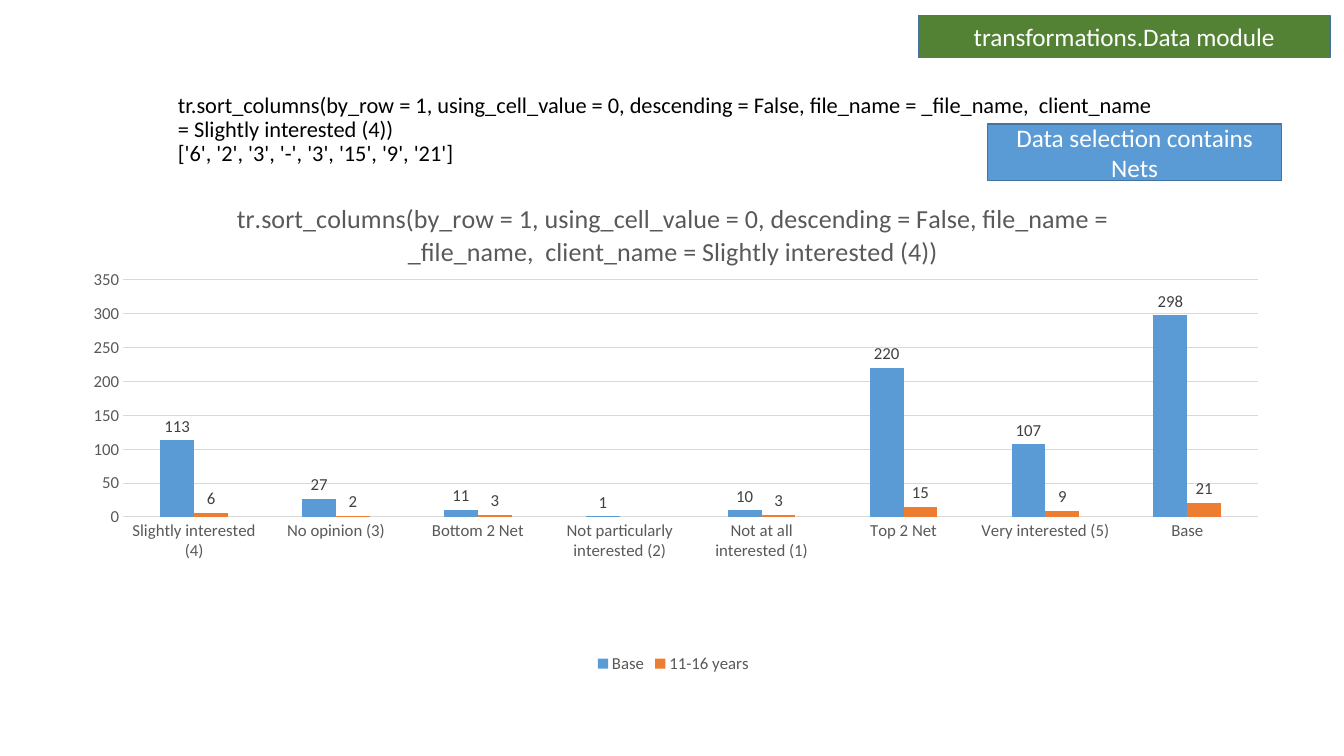
from lxml.etree import SubElement
from pptx import Presentation
from pptx.chart.data import CategoryChartData
from pptx.dml.color import RGBColor
from pptx.enum.chart import XL_CHART_TYPE, XL_LABEL_POSITION, XL_LEGEND_POSITION, XL_TICK_MARK
from pptx.enum.shapes import MSO_SHAPE
from pptx.enum.text import MSO_ANCHOR, PP_ALIGN
from pptx.oxml.ns import qn
from pptx.util import Pt

CALL = ("tr.sort_columns(by_row = 1, using_cell_value = 0, descending = False, "
        "file_name = _file_name,  client_name = Slightly interested (4))")
SORTED_ROW = "['6', '2', '3', '-', '3', '15', '9', '21']"
ANSWERS = ["Slightly interested (4)", "No opinion (3)", "Bottom 2 Net",
           "Not particularly interested (2)", "Not at all interested (1)",
           "Top 2 Net", "Very interested (5)", "Base"]
GROUPS = [("Base", [113, 27, 11, 1, 10, 220, 107, 298], "5B9BD5"),
          ("11-16 years", [6, 2, 3, None, 3, 15, 9, 21], "ED7D31")]
PLOT_LAYOUT = [("layoutTarget", "inner"), ("xMode", "edge"), ("yMode", "edge"),
               ("x", "0.042"), ("y", "0.2"), ("w", "0.945"), ("h", "0.477")]


def color(hex_value):
    return RGBColor.from_string(hex_value)


def set_font(font, size, hex_value):
    font.name = "Calibri"
    font.size = Pt(size)
    font.bold = False
    font.color.rgb = color(hex_value)


def add_call_text(slide, left, top, width, height):
    frame = slide.shapes.add_textbox(Pt(left), Pt(top), Pt(width), Pt(height)).text_frame
    frame.word_wrap = True
    frame.vertical_anchor = MSO_ANCHOR.BOTTOM
    call = frame.paragraphs[0]
    call.text = CALL + "\v" + SORTED_ROW
    call.line_spacing = 0.9
    set_font(call.font, 16, "000000")


def add_banner(slide, wording, fill, left, top, width, height):
    banner = slide.shapes.add_shape(MSO_SHAPE.RECTANGLE, Pt(left), Pt(top), Pt(width), Pt(height))
    banner.shadow.inherit = False
    banner.fill.solid()
    banner.fill.fore_color.rgb = color(fill)
    banner.line.color.rgb = color("43739E")
    banner.line.width = Pt(1)
    banner.text_frame.word_wrap = True
    banner.text_frame.vertical_anchor = MSO_ANCHOR.MIDDLE
    label = banner.text_frame.paragraphs[0]
    label.text = wording
    label.alignment = PP_ALIGN.CENTER
    set_font(label.font, 18, "FFFFFF")


def style_axes(chart):
    answers, counts = chart.category_axis, chart.value_axis
    for axis in (answers, counts):
        axis.major_tick_mark = XL_TICK_MARK.NONE
        axis.minor_tick_mark = XL_TICK_MARK.NONE
        set_font(axis.tick_labels.font, 12, "595959")
    counts.tick_labels.number_format = "0"
    counts.tick_labels.number_format_is_linked = False
    counts.minimum_scale, counts.maximum_scale, counts.major_unit = 0, 350, 50
    counts.format.line.fill.background()
    for line in (answers.format.line, counts.major_gridlines.format.line):
        line.color.rgb = color("D9D9D9")
        line.width = Pt(0.75)


def style_series(series, hex_value):
    series.format.fill.solid()
    series.format.fill.fore_color.rgb = color(hex_value)
    labels = series.data_labels
    labels.show_value = True
    labels.position = XL_LABEL_POSITION.OUTSIDE_END
    labels.number_format = "0"
    labels.number_format_is_linked = False
    set_font(labels.font, 12, "404040")


def place_plot(chart):
    plot_area = chart.plots[0]._element.getparent()
    layout = plot_area.find(qn("c:layout"))
    if layout is None:
        layout = SubElement(plot_area, qn("c:layout"))
        plot_area.insert(0, layout)
    manual = SubElement(layout, qn("c:manualLayout"))
    for tag, value in PLOT_LAYOUT:
        SubElement(manual, qn("c:" + tag)).set("val", value)


def add_interest_chart(slide, left, top, width, height):
    interest = CategoryChartData(number_format="0")
    interest.categories = ANSWERS
    for name, counts, _ in GROUPS:
        interest.add_series(name, counts)
    chart = slide.shapes.add_chart(XL_CHART_TYPE.COLUMN_CLUSTERED, Pt(left), Pt(top),
                                   Pt(width), Pt(height), interest).chart
    set_font(chart.font, 10, "000000")
    chart.has_title = True
    heading = chart.chart_title.text_frame.paragraphs[0]
    heading.text = CALL
    set_font(heading.font, 18.6, "595959")
    chart.chart_title.include_in_layout = False
    chart.has_legend = True
    chart.legend.position = XL_LEGEND_POSITION.BOTTOM
    chart.legend.include_in_layout = False
    set_font(chart.legend.font, 12, "595959")
    columns = chart.plots[0]
    columns.gap_width = 219
    columns.overlap = 0
    columns.vary_by_categories = False
    for series, (_, _, hex_value) in zip(columns.series, GROUPS):
        style_series(series, hex_value)
    style_axes(chart)
    place_plot(chart)


def main():
    deck = Presentation()
    deck.slide_width, deck.slide_height = Pt(960), Pt(540)
    slide = deck.slides.add_slide(deck.slide_layouts[6])
    add_call_text(slide, 120, 67.5, 720, 55)
    add_banner(slide, "transformations.Data module", "548235", 656, 11, 294, 30)
    add_interest_chart(slide, 52, 129, 858, 355)
    add_banner(slide, "Data selection contains Nets", "5B9BD5", 705.5, 88.5, 210, 40.5)
    deck.save("out.pptx")


if __name__ == "__main__":
    main()
